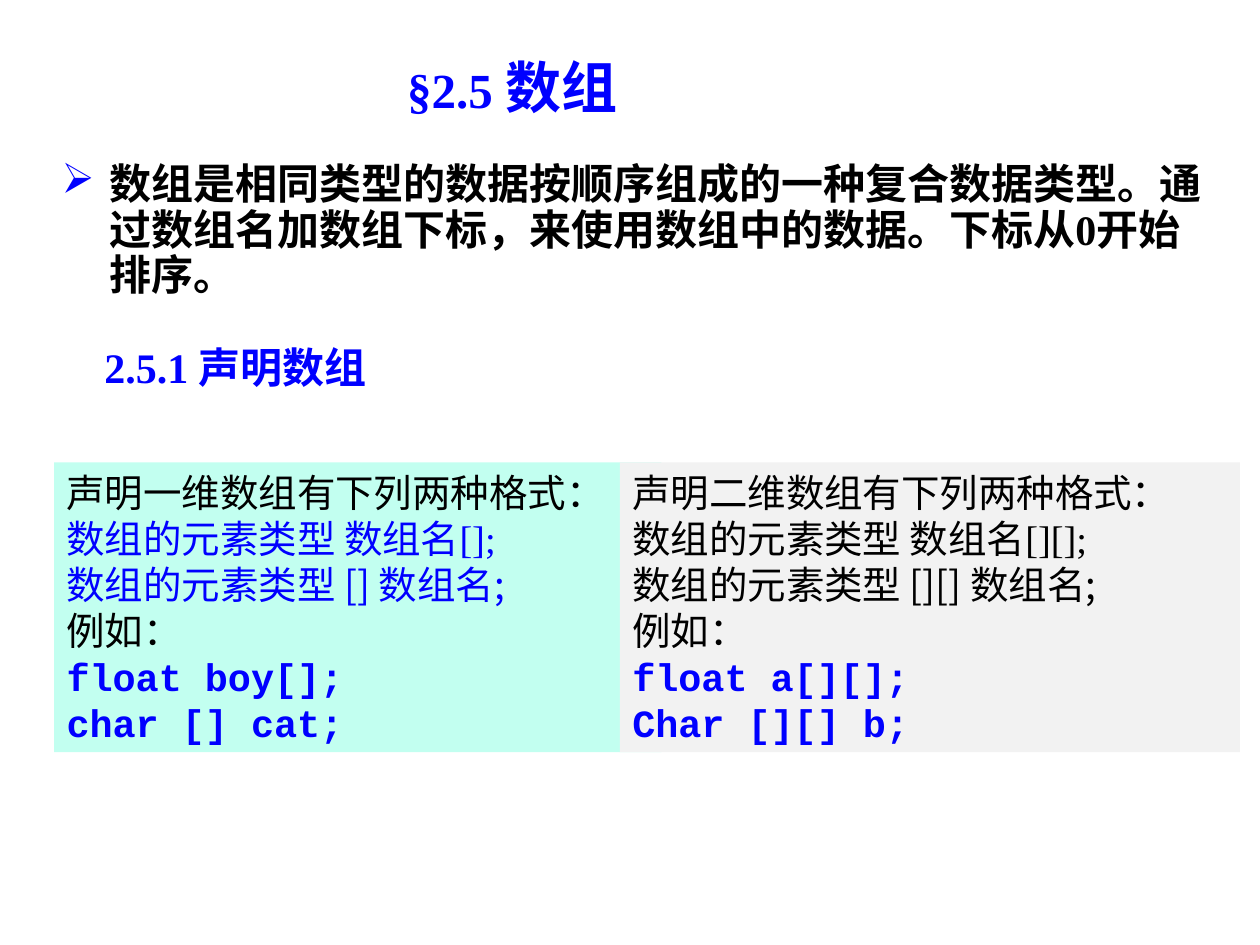
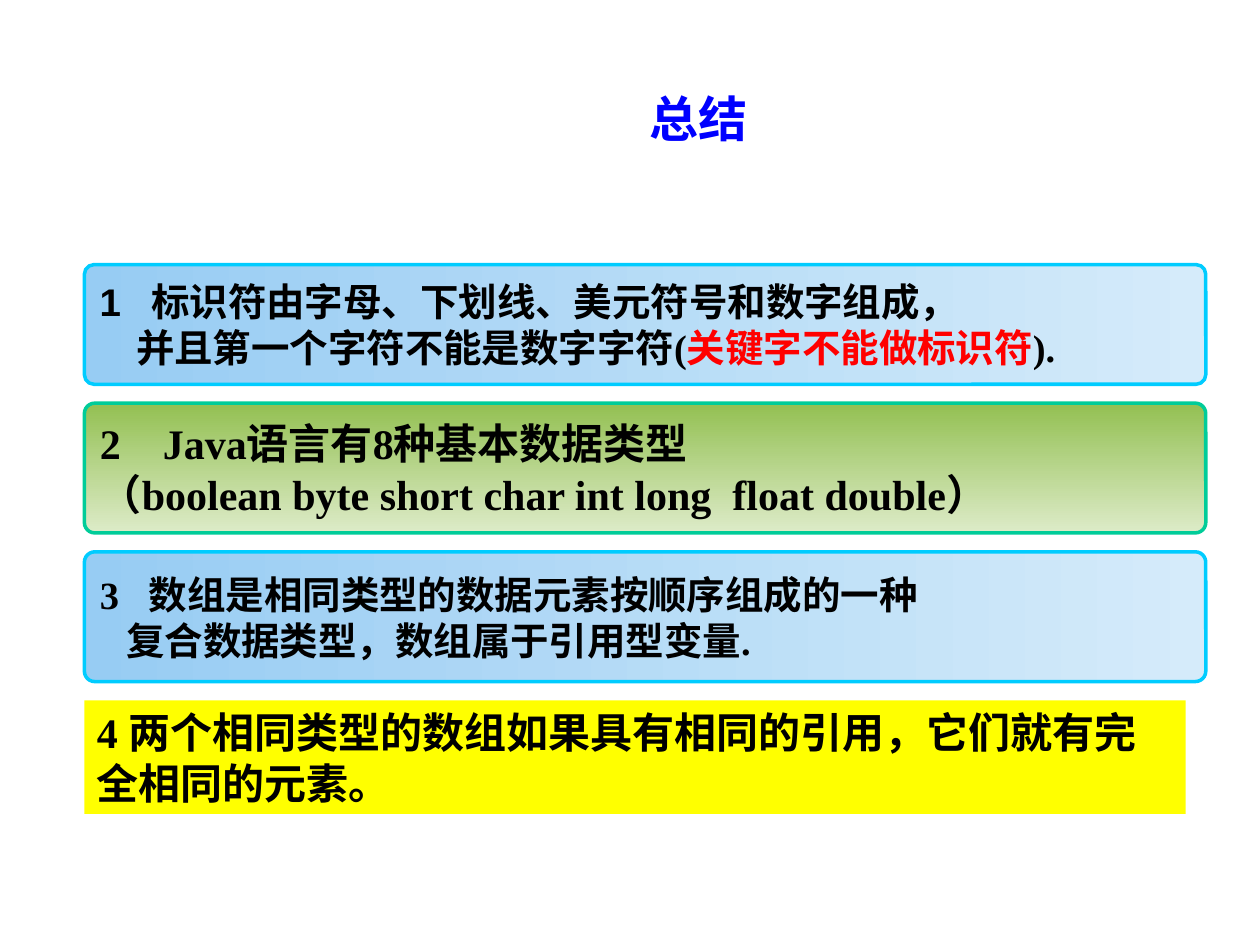
from dataclasses import dataclass

from lxml import etree
from pptx import Presentation
from pptx.dml.color import RGBColor
from pptx.enum.shapes import MSO_SHAPE
from pptx.enum.text import MSO_ANCHOR, PP_ALIGN
from pptx.oxml.ns import qn
from pptx.slide import Slide
from pptx.text.text import TextFrame
from pptx.util import Inches, Pt

RECTANGLE, ROUNDED = MSO_SHAPE.RECTANGLE, MSO_SHAPE.ROUNDED_RECTANGLE
TOP, MIDDLE = MSO_ANCHOR.TOP, MSO_ANCHOR.MIDDLE
LEFT, CENTER = PP_ALIGN.LEFT, PP_ALIGN.CENTER


@dataclass(frozen=True)
class Theme:
    black: str = "000000"
    blue: str = "0000FF"
    red: str = "FF0000"
    mint: str = "C2FFF0"
    grey: str = "F2F2F2"
    yellow: str = "FFFF00"
    serif: str = "Times New Roman"
    sans: str = "Arial"
    code: str = "Courier New"
    chinese: str = "Noto Sans CJK SC"
    big_title: int = 32
    title: int = 28
    body: int = 24
    detail: int = 22


THEME = Theme()


@dataclass(frozen=True)
class Span:
    text: str
    size: int = THEME.body
    color: str = THEME.black
    font: str = THEME.serif
    bold: bool = True


@dataclass(frozen=True)
class Line:
    spans: list[Span]
    margin: float = 0
    hanging: float = 0
    space_before: float = 0
    spacing: float = 1.0
    align: PP_ALIGN = LEFT
    bullet: str = ""
    number: int = 0
    bullet_color: str = THEME.black


@dataclass(frozen=True)
class Box:
    left: float
    top: float
    width: float
    height: float


@dataclass(frozen=True)
class CardStyle:
    start: str
    end: str
    angle: int
    border: str


SKY = CardStyle("97CCF3", "D5EBFA", 0, "00CCFF")
GREEN = CardStyle("93C052", "DDEBC8", 270, "00CC99")


def rgb(color: str) -> RGBColor:
    return RGBColor.from_string(color)


# Text
def add_bullet(properties: etree._Element, line: Line) -> None:
    color = etree.SubElement(properties, qn("a:buClr"))
    etree.SubElement(color, qn("a:srgbClr"), val=line.bullet_color)
    if line.bullet:
        etree.SubElement(properties, qn("a:buChar"), char=line.bullet)
    else:
        etree.SubElement(properties, qn("a:buAutoNum"),
                         type="arabicPlain", startAt=str(line.number))


def write_lines(frame: TextFrame, lines: list[Line], anchor: MSO_ANCHOR) -> None:
    frame.word_wrap = True
    frame.vertical_anchor = anchor
    for index, line in enumerate(lines):
        paragraph = frame.add_paragraph() if index else frame.paragraphs[0]
        paragraph.alignment = line.align
        paragraph.line_spacing = line.spacing
        paragraph.space_before = Pt(line.space_before)
        properties = paragraph._p.get_or_add_pPr()
        properties.set("marL", str(Inches(line.margin)))
        properties.set("indent", str(Inches(-line.hanging)))
        if line.bullet or line.number:
            add_bullet(properties, line)
        for span in line.spans:
            run = paragraph.add_run()
            run.text = span.text
            run.font.size = Pt(span.size)
            run.font.bold = span.bold
            run.font.name = span.font
            run.font.color.rgb = rgb(span.color)
            etree.SubElement(run._r.get_or_add_rPr(), qn("a:ea"), typeface=THEME.chinese)


def add_text(slide: Slide, box: Box, lines: list[Line], anchor: MSO_ANCHOR = TOP) -> None:
    shape = slide.shapes.add_textbox(Inches(box.left), Inches(box.top),
                                     Inches(box.width), Inches(box.height))
    write_lines(shape.text_frame, lines, anchor)


def add_title(slide: Slide, box: Box, spans: list[Span]) -> None:
    add_text(slide, box, [Line(spans, align=CENTER)], MIDDLE)


# Filled boxes
def add_panel(slide: Slide, box: Box, fill: str, lines: list[Line]) -> None:
    shape = slide.shapes.add_shape(RECTANGLE, Inches(box.left), Inches(box.top),
                                   Inches(box.width), Inches(box.height))
    shape.shadow.inherit = False
    shape.fill.solid()
    shape.fill.fore_color.rgb = rgb(fill)
    shape.line.fill.background()
    write_lines(shape.text_frame, lines, TOP)


def add_card(slide: Slide, box: Box, style: CardStyle, lines: list[Line]) -> None:
    shape = slide.shapes.add_shape(ROUNDED, Inches(box.left), Inches(box.top),
                                   Inches(box.width), Inches(box.height))
    shape.adjustments[0] = 0.08
    shape.shadow.inherit = False
    shape.fill.gradient()
    shape.fill.gradient_angle = style.angle
    for stop, color in zip(shape.fill.gradient_stops, (style.start, style.end)):
        stop.color.rgb = rgb(color)
    shape.line.color.rgb = rgb(style.border)
    shape.line.width = Pt(2)
    write_lines(shape.text_frame, lines, MIDDLE)


def declaration_lines(dimension: str, brackets: str, format_color: str,
                      examples: list[str]) -> list[Line]:
    size = THEME.detail
    spans = [
        Span(f"声明{dimension}维数组有下列两种格式：", size, bold=False),
        Span(f"数组的元素类型 数组名{brackets};", size, format_color, bold=False),
        Span(f"数组的元素类型 {brackets} 数组名;", size, format_color, THEME.chinese, False),
        Span("例如：", size, bold=False),
    ]
    spans += [Span(example, size, THEME.blue, THEME.code) for example in examples]
    return [Line([span]) for span in spans]


# Slides
def build_arrays(slide: Slide) -> None:
    add_title(slide, Box(0.47, 0.31, 7.19, 0.75), [
        Span("§2.5 ", THEME.title, THEME.blue),
        Span("数组", THEME.big_title, THEME.blue, THEME.chinese),
    ])
    definition = ("数组是相同类型的数据按顺序组成的一种复合数据类型。"
                  "通过数组名加数组下标，来使用数组中的数据。下标从0开始排序。")
    add_text(slide, Box(0.39, 1.25, 9.38, 1.97), [
        Line([Span(definition)], margin=0.38, hanging=0.38, spacing=0.9,
             bullet="➢", bullet_color=THEME.blue),
        Line([Span("2.5.1 声明数组", color=THEME.blue)],
             margin=0.34, space_before=27, spacing=0.9),
    ])
    panel_top, panel_height = 3.67, 2.3
    add_panel(slide, Box(0.43, panel_top, 4.82, panel_height), THEME.mint,
              declaration_lines("一", "[]", THEME.blue, ["float boy[];", "char [] cat;"]))
    add_panel(slide, Box(4.92, panel_top, 4.92, panel_height), THEME.grey,
              declaration_lines("二", "[][]", THEME.black, ["float a[][];", "Char [][] b;"]))


def build_summary(slide: Slide) -> None:
    add_title(slide, Box(2.25, 0.67, 6.58, 0.53), [Span("总结", THEME.title, THEME.blue)])
    size = THEME.detail
    identifiers = [
        Line([Span("1\t", size, font=THEME.sans),
              Span("标识符由字母、下划线、美元符号和数字组成，", size)], margin=0.41, hanging=0.41),
        Line([Span("并且第一个字符不能是数字字符(", size),
              Span("关键字不能做标识符", size, THEME.red),
              Span(").", size)], margin=0.29),
    ]
    basic_types = [
        Line([Span("Java语言有8种基本数据类型")], margin=0.5, hanging=0.5, number=2),
        Line([Span("（boolean byte short char int long  float double）")]),
    ]
    array_type = [
        Line([Span("3\t数组是相同类型的数据元素按顺序组成的一种", size)], margin=0.39, hanging=0.39),
        Line([Span("复合数据类型，数组属于引用型变量.", size)], margin=0.21),
    ]
    left, top, gap = 0.67, 2.1, 0.15
    for height, style, lines in ((0.95, SKY, identifiers),
                                 (1.03, GREEN, basic_types),
                                 (1.03, SKY, array_type)):
        add_card(slide, Box(left, top, 8.9, height), style, lines)
        top += height + gap
    add_panel(slide, Box(left, top, 8.74, 0.9), THEME.yellow, [
        Line([Span("4 两个相同类型的数组如果具有相同的引用，它们就有完全相同的元素。")]),
    ])


def main() -> None:
    presentation = Presentation()
    presentation.slide_width = Inches(10)
    presentation.slide_height = Inches(7.5)
    blank_layout = presentation.slide_layouts[6]
    for build in (build_arrays, build_summary):
        build(presentation.slides.add_slide(blank_layout))
    presentation.save("out.pptx")


if __name__ == "__main__":
    main()
